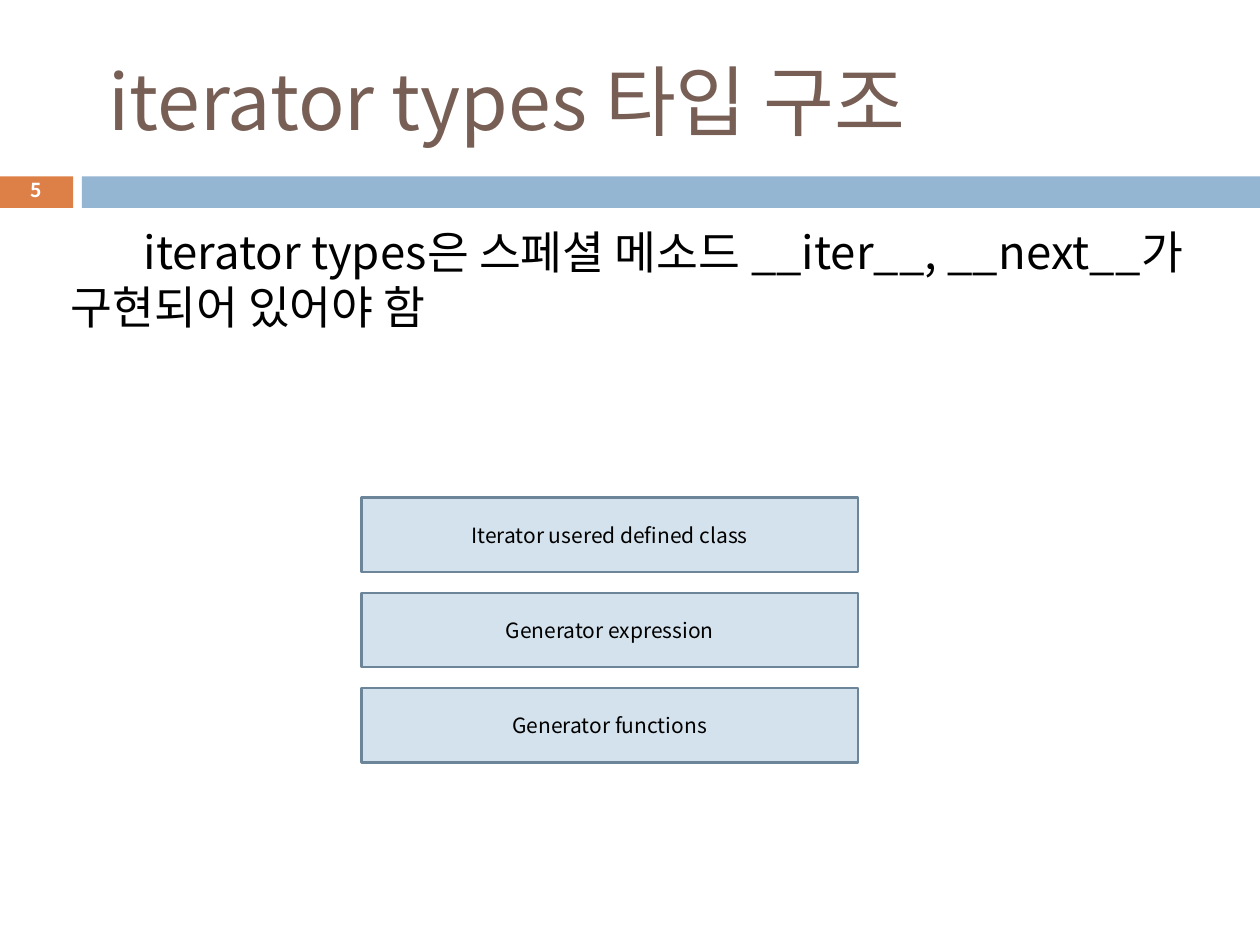
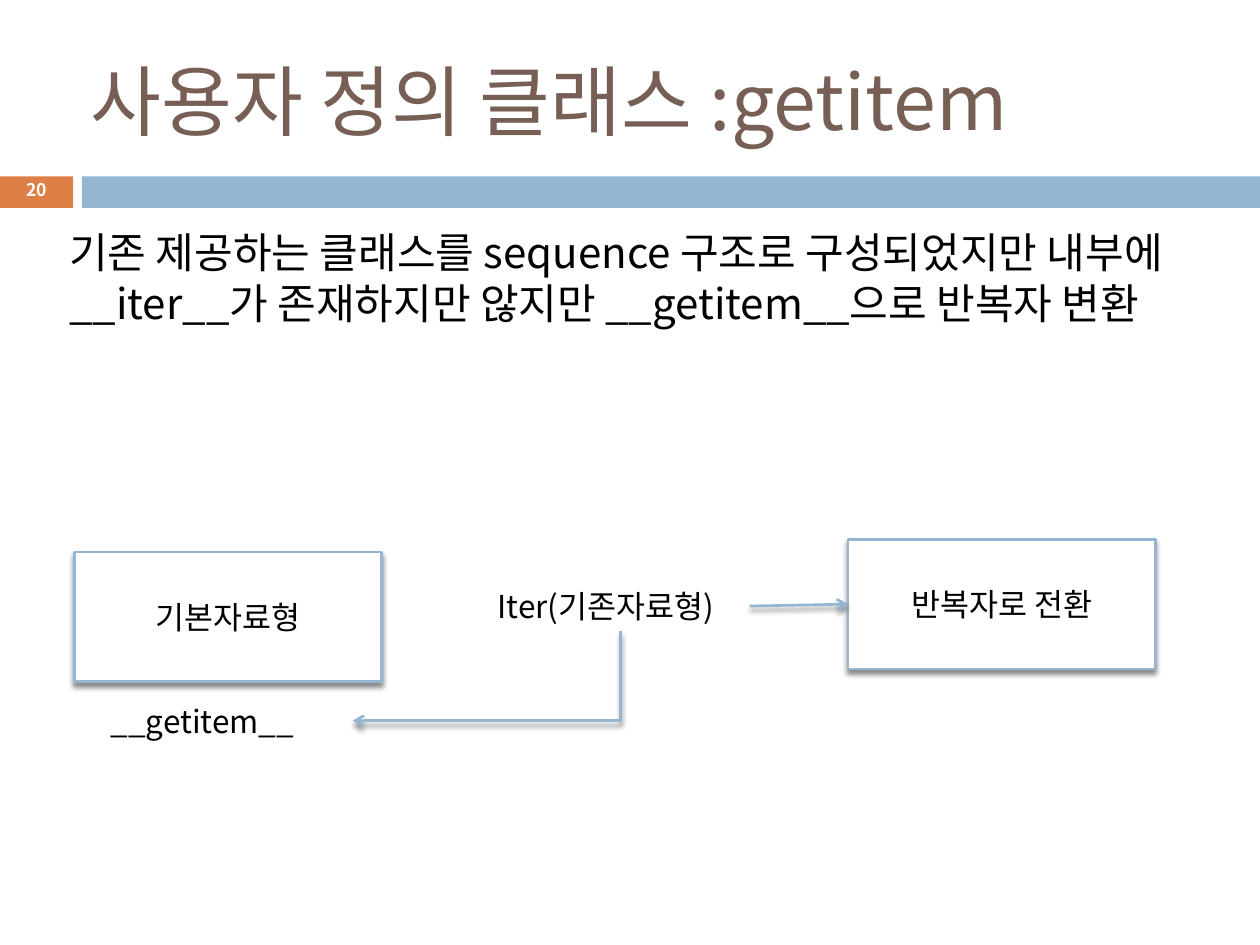
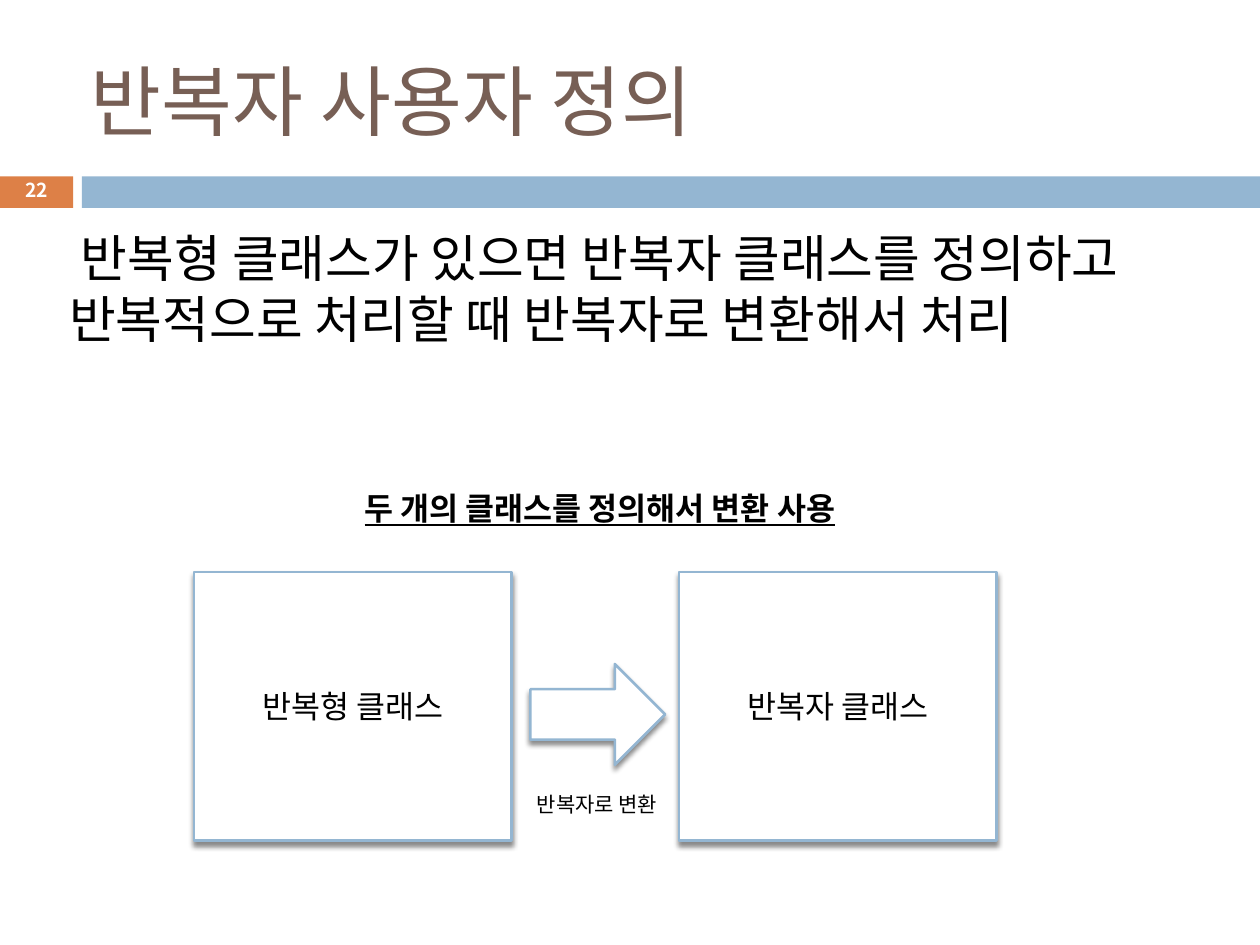
from collections import namedtuple

from lxml import etree
from pptx import Presentation
from pptx import util as u
from pptx.dml.color import RGBColor
from pptx.enum import shapes, text
from pptx.oxml.ns import qn

BROWN = RGBColor(0x77, 0x5F, 0x55)
ORANGE = RGBColor(0xDD, 0x80, 0x47)
BLUE = RGBColor(0x94, 0xB6, 0xD2)
PALE = RGBColor(0xD4, 0xE2, 0xED)
SLATE = RGBColor(0x6C, 0x85, 0x99)
BLACK = RGBColor(0, 0, 0)
WHITE = RGBColor(0xFF, 0xFF, 0xFF)
FONT = "Noto Sans CJK KR"

# The slide is a grid of 100 columns by 75 rows
W, H = u.Inches(10), u.Inches(7.5)
COL, ROW = W / 100, H / 75
RECT = shapes.MSO_SHAPE.RECTANGLE
LEFT, CENTER = text.PP_ALIGN.LEFT, text.PP_ALIGN.CENTER
TOP, MIDDLE = text.MSO_ANCHOR.TOP, text.MSO_ANCHOR.MIDDLE


class Box(namedtuple("Box", "x y w h")):
    """A region in grid units."""

    def inner(self, x, y, w, h):
        return Box(self.x + x, self.y + y, w, h)

    def emu(self):
        return (int(self.x * COL), int(self.y * ROW),
                int(self.w * COL), int(self.h * ROW))


# Shared text and line styling
def write(sp, words, size, color=BLACK, align=LEFT, anchor=TOP, bold=False,
          underline=False, wrap=True, indent=0):
    tf = sp.text_frame
    tf.text = words
    tf.word_wrap = wrap
    tf.auto_size = text.MSO_AUTO_SIZE.NONE
    tf.vertical_anchor = anchor
    tf.margin_left = tf.margin_right = u.Inches(0.05)
    tf.margin_top = tf.margin_bottom = u.Inches(0.05)
    p = tf.paragraphs[0]
    p.alignment = align
    if indent:
        pPr = p._p.get_or_add_pPr()
        pPr.set("marL", "0")
        pPr.set("indent", str(int(indent * COL)))
    f = p.runs[0].font
    f.name, f.size, f.bold, f.underline = FONT, u.Pt(size), bold, underline
    f.color.rgb = color
    etree.SubElement(f._element, qn("a:ea")).set("typeface", FONT)
    return p


def label(s, box, words, size, **style):
    sp = s.shapes.add_textbox(*box.emu())
    return write(sp, words, size, **style)


def add_shadow(spPr):
    fx = spPr.find(qn("a:effectLst"))
    if fx is None:
        fx = etree.SubElement(spPr, qn("a:effectLst"))
    shadow = etree.SubElement(fx, qn("a:outerShdw"), blurRad=str(u.Pt(3)),
                              dist=str(u.Pt(2.4)), dir="5400000", rotWithShape="0")
    clr = etree.SubElement(shadow, qn("a:srgbClr"), val=str(BLACK))
    etree.SubElement(clr, qn("a:alpha"), val="45000")


def block(s, box, words="", size=18, kind=RECT, fill=WHITE, line=BLUE, shadow=True):
    sp = s.shapes.add_shape(kind, *box.emu())
    sp.shadow.inherit = False
    sp.fill.solid()
    sp.fill.fore_color.rgb = fill
    if line is None:
        sp.line.fill.background()
    else:
        sp.line.color.rgb = line
        sp.line.width = u.Pt(1.5)
    if shadow:
        add_shadow(sp.element.spPr)
    if words:
        write(sp, words, size, align=CENTER, anchor=MIDDLE)
    return sp


def arrow(s, x1, y1, x2, y2, kind=shapes.MSO_CONNECTOR.STRAIGHT):
    c = s.shapes.add_connector(kind, int(x1 * COL), int(y1 * ROW),
                               int(x2 * COL), int(y2 * ROW))
    c.line.color.rgb = BLUE
    c.line.width = u.Pt(1.5)
    spPr = c.element.spPr
    etree.SubElement(spPr.find(qn("a:ln")), qn("a:tailEnd"), type="arrow")
    add_shadow(spPr)
    return c


def down_left_arrow(s, x1, y1, x2, y2):
    """One-bend arrow: a right-then-down connector turned a quarter."""
    cx, cy = (x1 + x2) / 2, (y1 + y2) / 2
    dx, dy = (y2 - y1) / 2, (x1 - x2) / 2
    c = arrow(s, cx - dx, cy - dy, cx + dx, cy + dy, shapes.MSO_CONNECTOR.ELBOW)
    spPr = c.element.spPr
    spPr.find(qn("a:xfrm")).set("rot", "5400000")
    spPr.find(qn("a:prstGeom")).set("prst", "bentConnector2")


# Elements every slide has
def add_bands(s, layout):
    """Draw the two bands and hand them to the layout."""
    for box, color in ((Box(0, 14, 5.8, 2.5), ORANGE),
                       (Box(6.5, 14, 93.5, 2.5), BLUE)):
        sp = block(s, box, fill=color, line=None, shadow=False)
        layout.element.cSld.spTree.append(sp.element)


def add_page(prs, layout, title, number, number_size=11, title_indent=0):
    s = prs.slides.add_slide(layout)
    sp = s.shapes.title
    sp.left, sp.top, sp.width, sp.height = Box(6.7, 2.5, 89.2, 10.8).emu()
    write(sp, title, 44, color=BROWN, anchor=MIDDLE, indent=title_indent)
    p = label(s, Box(1.4, 13.7, 3, 3), number, number_size, color=WHITE,
              align=CENTER, anchor=MIDDLE, bold=True, wrap=False)
    p.line_spacing = 0.8
    return s


def add_body(s, box, words, size, before=7, indent=0):
    label(s, box, words, size, indent=indent).space_before = u.Pt(before)


# Diagrams
def draw_stack(s, box, names, gap=1.65):
    h = (box.h - gap * (len(names) - 1)) / len(names)
    for i, name in enumerate(names):
        block(s, box.inner(0, i * (h + gap), box.w, h), name, 12,
              fill=PALE, line=SLATE, shadow=False)


def draw_getitem_flow(s, box):
    w, h = 24.4, 10.3
    block(s, box.inner(0, 1, w, h), "기본자료형")
    result = box.inner(box.w - w, 0, w, h)
    block(s, result, "반복자로 전환")
    method = box.inner(2.4, 12.4, 19.7, 4)
    label(s, method, "__getitem__", 18)
    call = box.inner(33.1, 3.3, 20.5, 4)
    label(s, call, "Iter(기존자료형)", 18)
    down_left_arrow(s, call.x + call.w / 2, call.y + call.h,
                    method.x + method.w, method.y + method.h / 2)
    arrow(s, call.x + call.w, call.y + call.h / 2,
          result.x, result.y + result.h / 2)


def draw_conversion(s, box):
    label(s, box.inner(8.6, 0, 47.2, 4), "두 개의 클래스를 정의해서 변환 사용", 18,
          align=CENTER, bold=True, underline=True)
    w, h = 25.2, 21.3
    for x, name in ((0, "반복형 클래스"), (box.w - w, "반복자 클래스")):
        block(s, box.inner(x, box.h - h, w, h), name)
    block(s, box.inner(26.7, 14.4, 10.7, 8), kind=shapes.MSO_SHAPE.RIGHT_ARROW)
    label(s, box.inner(26.7, 24, 12.2, 3), "반복자로 변환", 12)


def main():
    prs = Presentation()
    prs.slide_width, prs.slide_height = W, H
    layout = prs.slide_layouts[5]
    body = Box(5, 17.5, 90, 20)

    # Iterator types
    s = add_page(prs, layout, "iterator types 타입 구조", "5", title_indent=1.4)
    add_bands(s, layout)
    add_body(s, Box(5.1, 17.3, 90, 14.7),
             "iterator types은 스페셜 메소드 __iter__, __next__가 구현되어 있어야 함",
             26, before=5, indent=5.8)
    draw_stack(s, Box(28.7, 39.5, 39.4, 21),
               ["Iterator usered defined class", "Generator expression",
                "Generator functions"])

    # Conversion through getitem
    s = add_page(prs, layout, "사용자 정의 클래스 :getitem", "20", number_size=10)
    add_body(s, body, "기존 제공하는 클래스를 sequence 구조로 구성되었지만 내부에 "
             "__iter__가 존재하지만 않지만 __getitem__으로 반복자 변환", 24)
    draw_getitem_flow(s, Box(5.9, 42.8, 85.8, 16.4))

    # User-defined iterator
    s = add_page(prs, layout, "반복자 사용자 정의", "22")
    add_body(s, body, "반복형 클래스가 있으면 반복자 클래스를 정의하고 "
             "반복적으로 처리할 때 반복자로 변환해서 처리", 29, indent=0.9)
    draw_conversion(s, Box(15.4, 38.3, 63.7, 28.4))

    prs.save("out.pptx")


if __name__ == "__main__":
    main()
